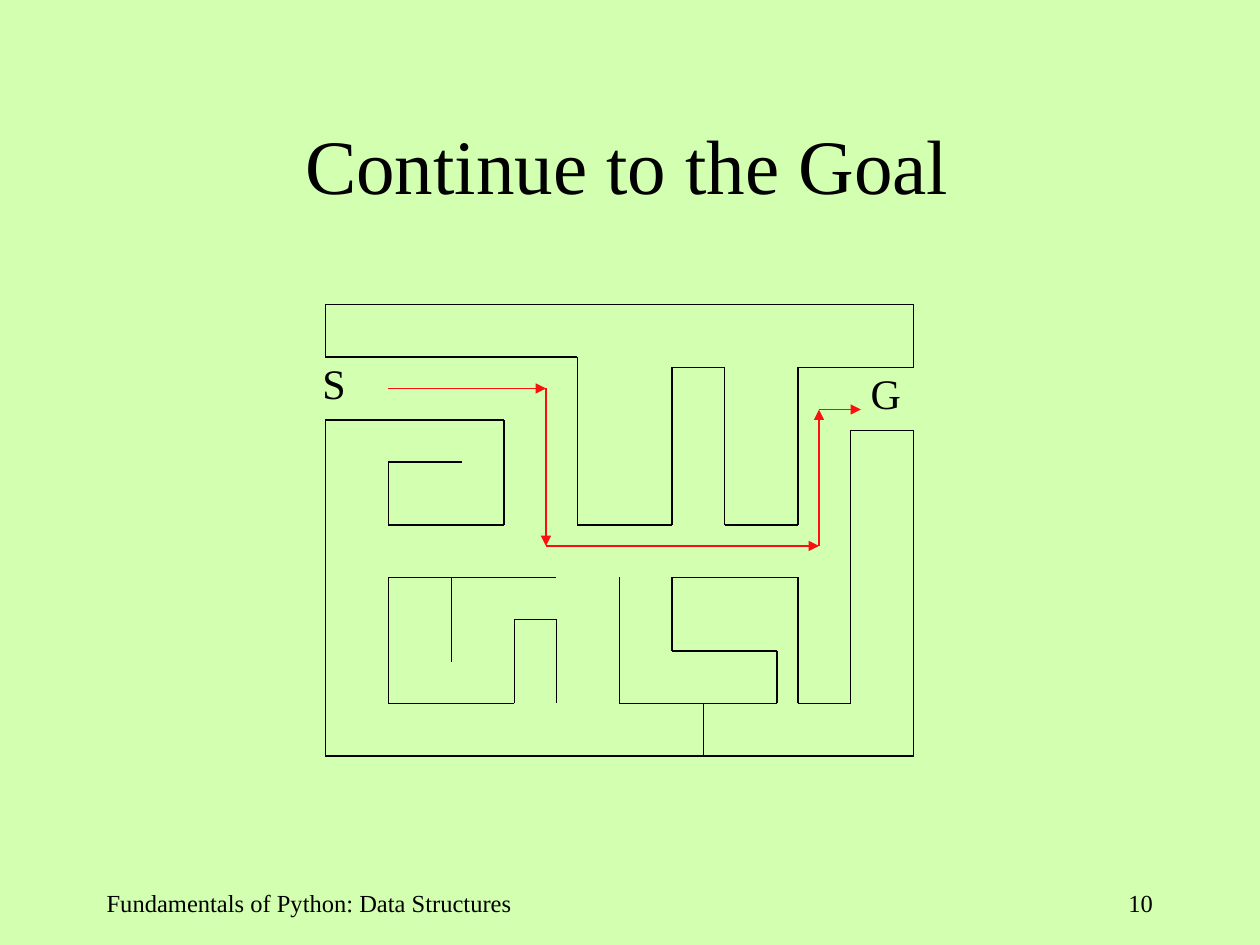
import itertools

import pptx
import pptx.dml.color
import pptx.enum.shapes
import pptx.enum.text
import pptx.oxml
import pptx.oxml.ns
import pptx.util

Cm = pptx.util.Cm
Pt = pptx.util.Pt
Align = pptx.enum.text.PP_ALIGN
Anchor = pptx.enum.text.MSO_ANCHOR
AutoSize = pptx.enum.text.MSO_AUTO_SIZE

COLORS = {"background": "D2FFB0", "ink": "000000", "route": "FA100F"}
FONT = "Times New Roman"
GRID = 2.54 / 12  # centimetres per maze unit

# Maze corners as (column, row) in maze units
WALLS = [
    # upper block
    [(31, 29), (87, 29), (87, 35), (76, 35), (76, 50), (69, 50), (69, 35),
     (64, 35), (64, 50), (55, 50), (55, 34), (31, 34), (31, 29)],
    # spiral, outer wall and inner right wall
    [(44, 44), (37, 44), (37, 50), (48, 50), (48, 40), (31, 40), (31, 72),
     (87, 72), (87, 41), (81, 41), (81, 55), (81, 67), (76, 67), (76, 55),
     (64, 55), (64, 62), (74, 62), (74, 67), (59, 67), (59, 55)],
    # lower left room
    [(53, 55), (37, 55), (37, 67), (49, 67), (49, 59), (53, 59), (53, 67)],
    # short dividers
    [(43, 55), (43, 59), (43, 63)],
    [(67, 67), (67, 72)],
]
ROUTE = [(37, 37), (52, 37), (52, 52), (78, 52), (78, 39), (82, 39)]


class SlideBuilder:
    def __init__(self, slide):
        self.slide = slide

    def color(self, name):
        return pptx.dml.color.RGBColor.from_string(COLORS[name])

    def background(self):
        fill = self.slide.background.fill
        fill.solid()
        fill.fore_color.rgb = self.color("background")

    def set_text(self, shape, text, size, align, insets):
        frame = shape.text_frame
        (frame.margin_left, frame.margin_top,
         frame.margin_right, frame.margin_bottom) = map(Cm, insets)
        paragraph = frame.paragraphs[0]
        paragraph.alignment = align
        run = paragraph.add_run()
        run.text = text
        run.font.name = FONT
        run.font.size = Pt(size)
        run.font.color.rgb = self.color("ink")
        return frame

    def title(self, text, left, top, width, height):
        shape = self.slide.shapes.title
        shape.left, shape.top = Cm(left), Cm(top)
        shape.width, shape.height = Cm(width), Cm(height)
        frame = self.set_text(shape, text, 44, Align.CENTER,
                              (0.25, 0.13, 0.36, 0.13))
        frame.vertical_anchor = Anchor.MIDDLE
        frame.auto_size = AutoSize.NONE

    def text_box(self, left, top, width, height):
        return self.slide.shapes.add_textbox(
            Cm(left), Cm(top), Cm(width), Cm(height))

    def label(self, text, left, top, width):
        shape = self.text_box(left, top, width, 1.02)
        frame = self.set_text(shape, text, 24, Align.LEFT, (0.1, 0, 0.1, 0))
        frame.word_wrap = False
        frame.auto_size = AutoSize.SHAPE_TO_FIT_TEXT

    def footer(self, text, left, width, align):
        shape = self.text_box(left, 17.78, width, 1.27)
        frame = self.set_text(shape, text, 14, align, (0.25, 0.13, 0.25, 0.13))
        frame.word_wrap = True

    def polyline(self, corners, color, arrows=False):
        namespace = pptx.oxml.ns.nsdecls("a")
        for start, end in itertools.pairwise(corners):
            ends = [Cm(value * GRID) for value in start + end]
            connector = self.slide.shapes.add_connector(
                pptx.enum.shapes.MSO_CONNECTOR.STRAIGHT, *ends)
            connector.line.color.rgb = self.color(color)
            connector.line.width = Pt(0.75)
            properties = connector._element.spPr
            if arrows:
                line = properties.find(pptx.oxml.ns.qn("a:ln"))
                line.append(pptx.oxml.parse_xml(
                    f'<a:tailEnd {namespace} type="triangle"/>'))
            # an empty effect list removes the theme shadow
            properties.append(pptx.oxml.parse_xml(
                f"<a:effectLst {namespace}/>"))


def main():
    presentation = pptx.Presentation()
    presentation.slide_width = Cm(25.4)
    presentation.slide_height = Cm(19.05)
    slide = presentation.slides.add_slide(presentation.slide_layouts[5])
    builder = SlideBuilder(slide)

    # Background and title
    builder.background()
    builder.title("Continue to the Goal", 1.9, 1.7, 21.6, 3.18)

    # Maze walls, start and goal
    for wall in WALLS:
        builder.polyline(wall, "ink")
    builder.label("S", 6.4, 7.2, 0.69)
    builder.label("G", 17.45, 7.41, 0.84)

    # Route from start to goal
    builder.polyline(ROUTE, "route", arrows=True)

    # Footer
    builder.footer("Fundamentals of Python: Data Structures", 1.9, 9.32,
                   Align.LEFT)
    builder.footer("10", 18.2, 5.29, Align.RIGHT)

    presentation.save("out.pptx")


if __name__ == "__main__":
    main()
